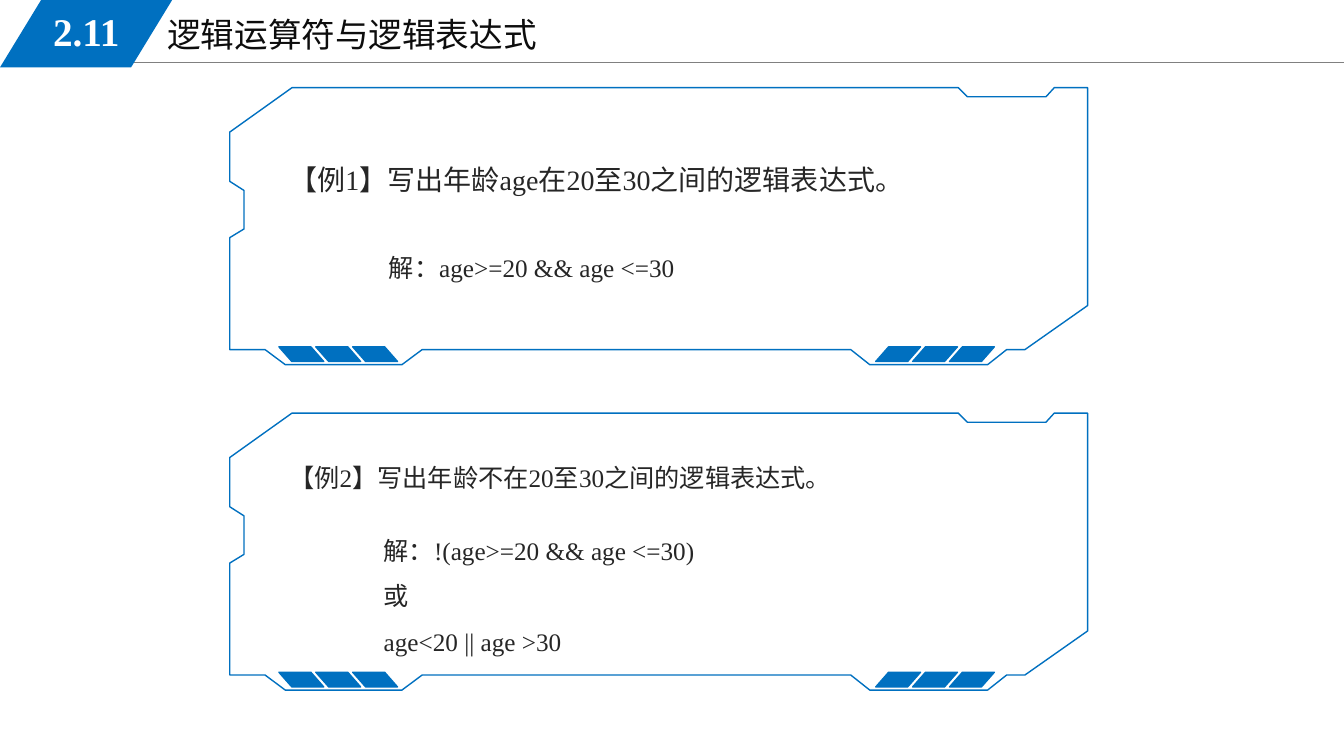
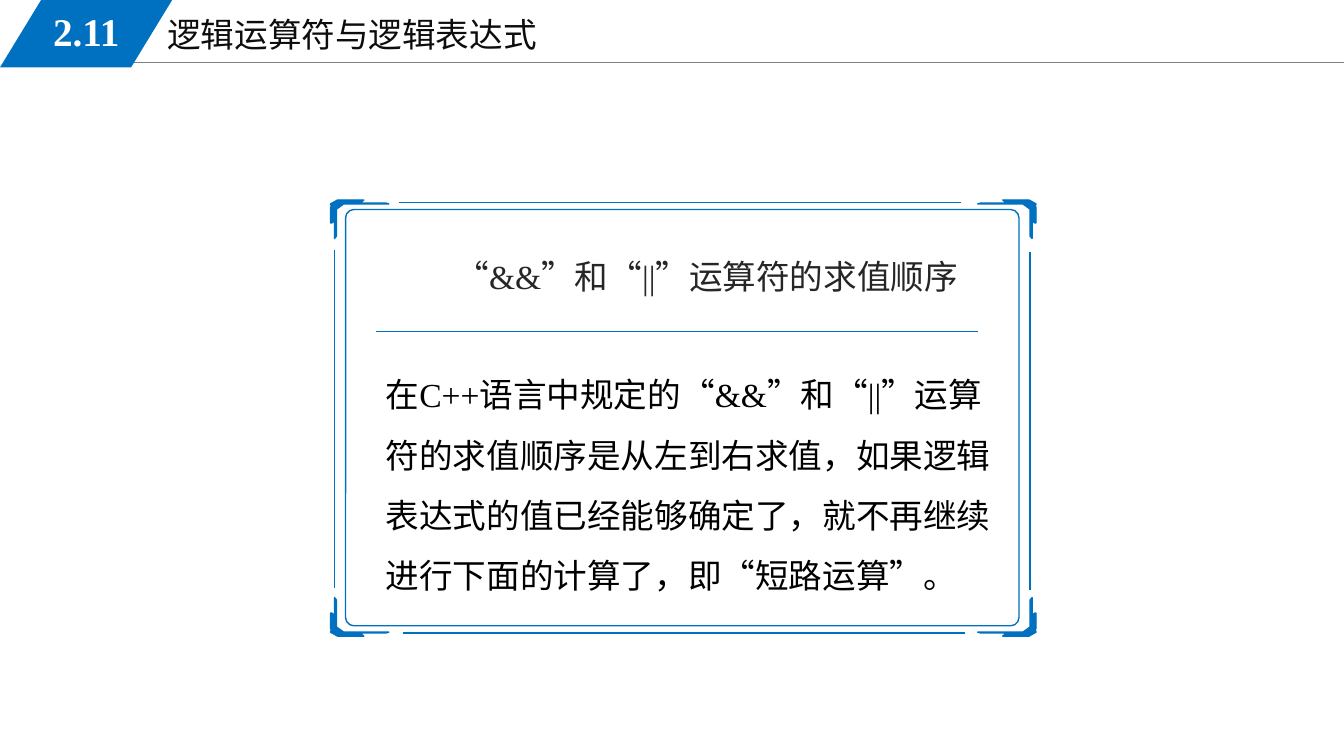
from lxml.etree import SubElement
from pptx import Presentation
from pptx.dml.color import RGBColor
from pptx.enum.shapes import MSO_CONNECTOR, MSO_SHAPE
from pptx.enum.text import MSO_ANCHOR, MSO_AUTO_SIZE, PP_ALIGN
from pptx.oxml.ns import qn
from pptx.util import Cm, Pt

COLORS = {
    "accent": "0070C0",
    "rule": "808080",
    "title": "0D0D0D",
    "text": "262626",
    "body": "000000",
    "white": "FFFFFF",
}
FONT = "Times New Roman"
SLIDE_WIDTH, SLIDE_HEIGHT = 33.87, 19.05
TITLE_ONLY = 5
SECTION, TITLE = "2.11", "逻辑运算符与逻辑表达式"

# Outlines in hundredths of a centimetre
UNIT = Cm(0.01)
PANEL_OUTLINE = [
    (157, 0), (1836, 0), (1859, 23), (2057, 23), (2078, 0), (2162, 0),
    (2162, 549), (2004, 660), (1958, 660), (1910, 698), (1613, 698),
    (1565, 660), (485, 660), (434, 698), (140, 698), (89, 660), (0, 660),
    (0, 378), (36, 356), (36, 259), (0, 236), (0, 112),
]
# Measured inwards from the outer corner of the frame
CORNER_OUTLINE = [
    (18, 0), (84, 0), (74, 8), (140, 8), (147, 10), (33, 10), (15, 23),
    (15, 91), (10, 97), (10, 53), (3, 58), (0, 58), (0, 18), (3, 18), (0, 10),
]


def color(name):
    return RGBColor.from_string(COLORS[name])


def set_format(target, values):
    for name, value in values.items():
        setattr(target, name, value)


def paint(shape, fill=None, line=None):
    shape.shadow.inherit = False
    if fill:
        shape.fill.solid()
        shape.fill.fore_color.rgb = color(fill)
    else:
        shape.fill.background()
    if line:
        shape.line.color.rgb = color(line)
        shape.line.width = Pt(1)
    else:
        shape.line.fill.background()
    return shape


def add_preset(slide, kind, box, adjustment, fill=None, line=None):
    shape = slide.shapes.add_shape(kind, *map(Cm, box))
    shape.adjustments[0] = adjustment
    return paint(shape, fill, line)


def add_outline(slide, points, fill=None):
    builder = slide.shapes.build_freeform(*points[0], scale=UNIT)
    builder.add_line_segments(points[1:], close=True)
    return paint(builder.convert_to_shape(), fill, "accent")


def add_line(slide, start, end, line="accent", width=1):
    connector = slide.shapes.add_connector(
        MSO_CONNECTOR.STRAIGHT, *map(Cm, start + end))
    connector.line.color.rgb = color(line)
    connector.line.width = Pt(width)
    SubElement(connector.element.spPr, qn("a:effectLst"))
    return connector


def write(shape, lines, size, ink="text", bold=False,
          anchor=MSO_ANCHOR.TOP, align=PP_ALIGN.LEFT, spacing=1.0):
    frame = shape.text_frame
    set_format(frame, {"word_wrap": True, "auto_size": MSO_AUTO_SIZE.NONE,
                       "vertical_anchor": anchor})
    frame.text = "\n".join(lines)
    for paragraph in frame.paragraphs:
        set_format(paragraph, {"alignment": align, "line_spacing": spacing})
        for run in paragraph.runs:
            set_format(run.font, {"name": FONT, "size": Pt(size), "bold": bold})
            run.font.color.rgb = color(ink)
    return shape


def add_text(slide, box, lines, size, **style):
    return write(slide.shapes.add_textbox(*map(Cm, box)), lines, size, **style)


def build_header(layout, slide):
    """Draw the header on a slide, then hand it over to the layout."""
    names = ("left", "top", "width", "height")
    title_box = map(Cm, (3.96, 0.23, 14.4, 1.3))
    set_format(layout.placeholders[0], dict(zip(names, title_box)))
    parts = [
        add_line(slide, (2.87, 1.57), (SLIDE_WIDTH, 1.57), "rule", 0.75),
        add_preset(slide, MSO_SHAPE.PARALLELOGRAM, (0, 0, 4.34, 1.7), 0.61,
                   fill="accent"),
        add_text(slide, (0.64, 0.05, 3.07, 1.47), [SECTION], 28, ink="white",
                 bold=True, anchor=MSO_ANCHOR.MIDDLE, align=PP_ALIGN.CENTER),
    ]
    for number, part in enumerate(parts, start=100):
        part.element.xpath(".//p:cNvPr")[0].set("id", str(number))
        layout.shapes.element.append(part.element)


def add_panel(slide, left, top):
    """Outlined example panel with two rows of slanted tabs."""
    add_outline(slide, [(round(left * 100) + x, round(top * 100) + y)
                        for x, y in PANEL_OUTLINE])
    for row_left, flipped in ((16.28, False), (1.24, True)):
        for index in range(3):
            box = (left + row_left + index * 0.93, top + 6.53, 1.13, 0.37)
            tab = add_preset(slide, MSO_SHAPE.PARALLELOGRAM, box, 0.88,
                             "accent", "accent")
            if flipped:
                tab.element.spPr.find(qn("a:xfrm")).set("flipH", "1")


def add_frame(slide):
    """Rounded frame with four mirrored corners and side lines."""
    add_preset(slide, MSO_SHAPE.ROUNDED_RECTANGLE,
               (8.71, 5.28, 16.97, 10.49), 0.02, line="accent")
    for x, x_step in ((833, 1), (2611, -1)):
        for y, y_step in ((504, 1), (1603, -1)):
            add_outline(slide, [(x + x_step * dx, y + y_step * dy)
                                for dx, dy in CORNER_OUTLINE], "accent")
    for start, end in (
        ((10.06, 5.11), (24.21, 5.11)),
        ((10.16, 15.95), (24.31, 15.95)),
        ((8.43, 6.3), (8.43, 14.81)),
        ((25.96, 6.35), (25.96, 14.86)),
    ):
        add_line(slide, start, end)


def build_examples(slide):
    for top in (2.21, 10.41):
        add_panel(slide, 5.79, top)
    add_text(slide, (7.04, 4.09, 19.15, 1.7),
             ["【例1】写出年龄age在20至30之间的逻辑表达式。"], 20, spacing=0.85)
    add_text(slide, (9.55, 6.35, 7.77, 0.91),
             ["解：age>=20 && age <=30"], 18, spacing=0.85)
    add_text(slide, (7.04, 11.63, 14.3, 0.91),
             ["【例2】写出年龄不在20至30之间的逻辑表达式。"], 18, spacing=0.85)
    add_text(slide, (9.42, 12.98, 16.94, 3.58),
             ["解：!(age>=20 && age <=30)", "或", "age<20 || age >30"],
             18, spacing=1.5)


def build_evaluation_order(slide):
    add_frame(slide)
    add_text(slide, (11.23, 6.32, 14.63, 1.27),
             ["“&&”和“||”运算符的求值顺序"], 24)
    add_line(slide, (9.47, 8.36), (24.64, 8.36))
    add_text(slide, (9.47, 8.79, 15.98, 7.44),
             ["在C++语言中规定的“&&”和“||”运算符的求值顺序是从左到右求值，"
              "如果逻辑表达式的值已经能够确定了，就不再继续进行下面的计算了，"
              "即“短路运算”。"], 24, ink="body", spacing=1.5)


def main():
    deck = Presentation()
    set_format(deck, {"slide_width": Cm(SLIDE_WIDTH),
                      "slide_height": Cm(SLIDE_HEIGHT)})
    layout = deck.slide_layouts[TITLE_ONLY]
    for number, build in enumerate((build_examples, build_evaluation_order)):
        slide = deck.slides.add_slide(layout)
        if number == 0:
            build_header(layout, slide)
        write(slide.shapes.title, [TITLE], 24, ink="title")
        build(slide)
    deck.save("out.pptx")


if __name__ == "__main__":
    main()
